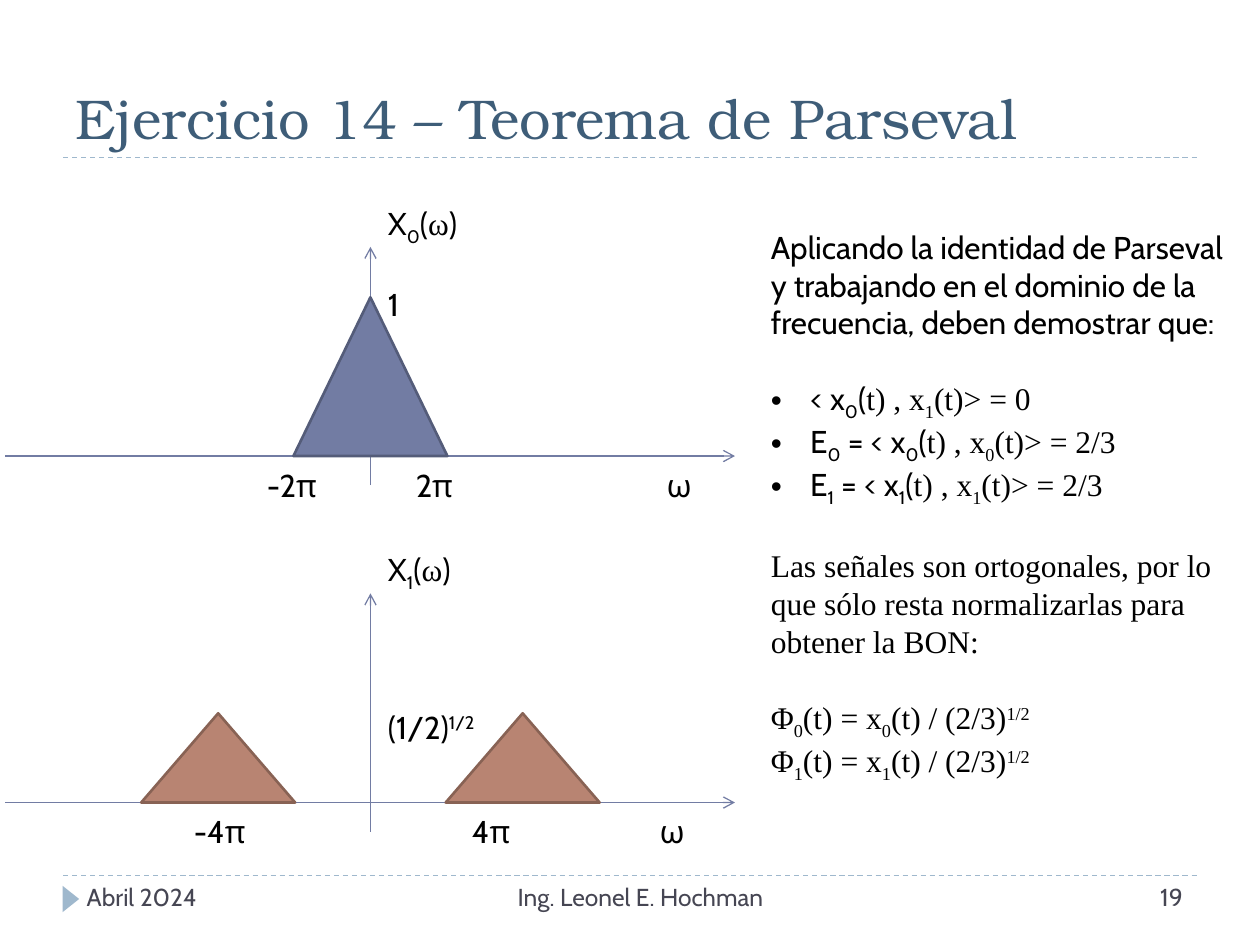
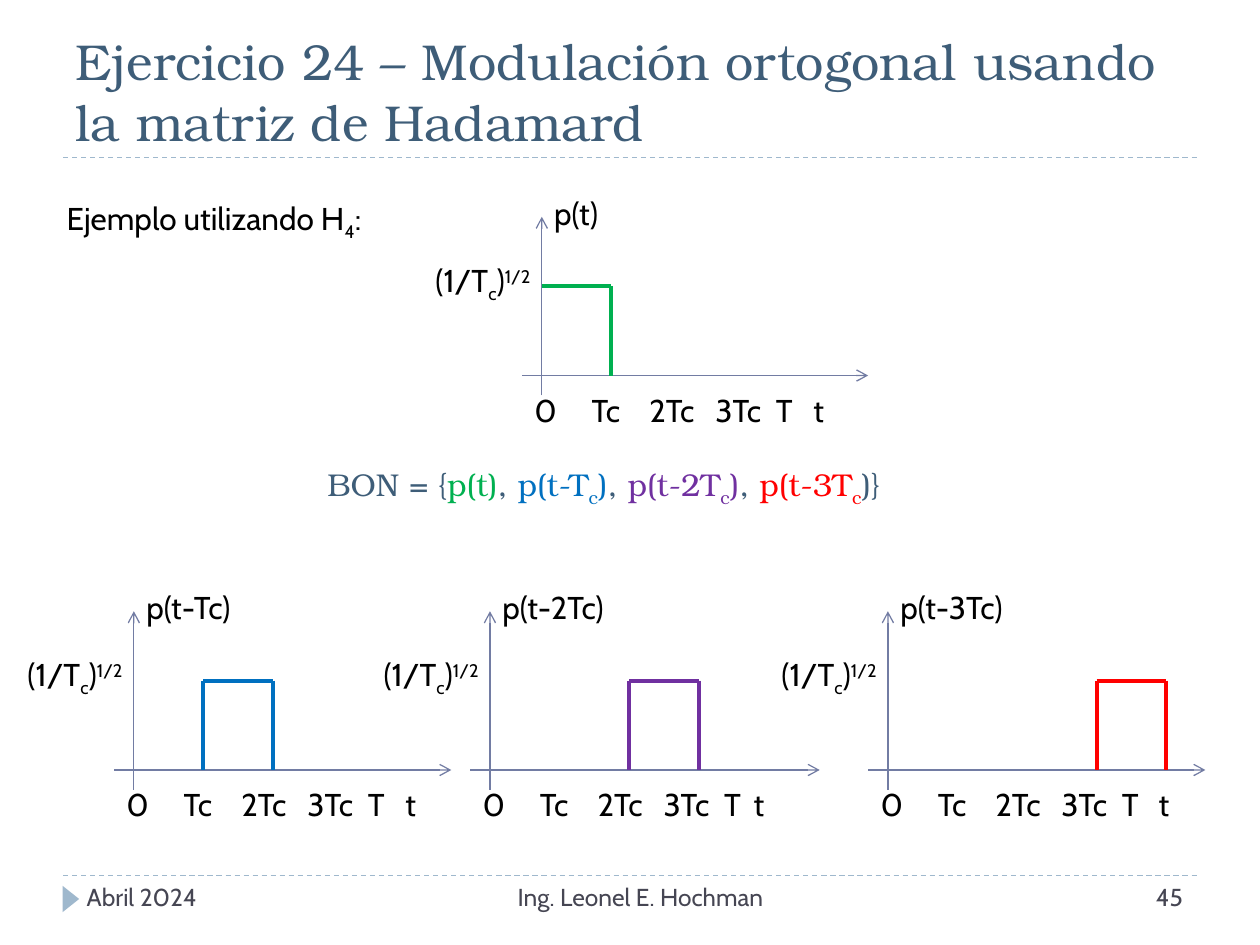
from lxml import etree
from pptx import Presentation
from pptx.dml.color import RGBColor
from pptx.enum import dml, shapes, text
from pptx.oxml import ns
from pptx.util import Pt

SANS, SERIF, TIMES = "Cabin", "TeX Gyre Bonum", "Times New Roman"
BLACK = RGBColor(0x00, 0x00, 0x00)
NAVY = RGBColor(0x3E, 0x5D, 0x78)
SLATE = RGBColor(0x46, 0x46, 0x53)
PALE = RGBColor(0x9F, 0xB8, 0xCD)
BLUE = RGBColor(0x72, 0x7C, 0xA3)
DEEP = RGBColor(0x54, 0x5C, 0x79)
CLAY = RGBColor(0xB8, 0x84, 0x72)
BROWN = RGBColor(0x88, 0x62, 0x54)
GREEN = RGBColor(0x00, 0xB0, 0x50)
AZURE = RGBColor(0x00, 0x70, 0xC0)
PURPLE = RGBColor(0x70, 0x30, 0xA0)
RED = RGBColor(0xFF, 0x00, 0x00)
LEFT, MID, RIGHT = text.PP_ALIGN.LEFT, text.PP_ALIGN.CENTER, text.PP_ALIGN.RIGHT


def write(slide, box, paras, size=18, font=SANS, ink=BLACK, align=LEFT, tabs=()):
    """Add a text box; a paragraph is a string or a list of (string, colour).

    "|" parts runs, which may open with ~ (Times), _ (subscript) or ^ (superscript).
    """
    frame = slide.shapes.add_textbox(*map(Pt, box)).text_frame
    frame.word_wrap = True
    for i, para in enumerate(paras):
        p = frame.paragraphs[0] if i == 0 else frame.add_paragraph()
        p.alignment = align
        if tabs:
            stops = etree.SubElement(p._p.get_or_add_pPr(), ns.qn("a:tabLst"))
            for pos in tabs:
                etree.SubElement(stops, ns.qn("a:tab"), pos=str(Pt(pos)), algn="l")
        for words, tint in [(para, ink)] if isinstance(para, str) else para:
            for part in words.split("|"):
                run = p.add_run()
                face = TIMES if part.startswith("~") else font
                part = part.removeprefix("~")
                if part[0] in "_^":
                    run.font._element.set("baseline", "-25000" if part[0] == "_" else "30000")
                    part = part[1:]
                run.text = part
                run.font.name, run.font.size = face, Pt(size)
                run.font.color.rgb = tint
    return frame


def line(slide, x1, y1, x2, y2, ink=BLUE, width=0.75, arrow=False):
    link = slide.shapes.add_connector(shapes.MSO_CONNECTOR.STRAIGHT, Pt(x1), Pt(y1), Pt(x2), Pt(y2))
    link.line.color.rgb, link.line.width = ink, Pt(width)
    if arrow:
        etree.SubElement(link.line._get_or_add_ln(), ns.qn("a:tailEnd"), type="arrow")
    etree.SubElement(link._element.spPr, ns.qn("a:effectLst"))
    return link


deck = Presentation()
deck.slide_width, deck.slide_height = Pt(720), Pt(540)

# Shared frame: title, rules, footer
pages = []
for title, size, number in [
    ("Ejercicio 14 – Teorema de Parseval", 32, "19"),
    ("Ejercicio 24 – Modulación ortogonal usando la matriz de Hadamard", 28.8, "45"),
]:
    page = deck.slides.add_slide(deck.slide_layouts[5])
    pages.append(page)
    head = page.shapes.title
    head.left, head.top, head.width, head.height = Pt(36), Pt(12), Pt(648), Pt(78)
    frame = head.text_frame
    frame.word_wrap, frame.auto_size = True, text.MSO_AUTO_SIZE.NONE
    frame.vertical_anchor = text.MSO_ANCHOR.BOTTOM
    frame.paragraphs[0].alignment = LEFT
    run = frame.paragraphs[0].add_run()
    run.text = title
    run.font.name, run.font.size, run.font.color.rgb = SERIF, Pt(size), NAVY

    for y in (90, 500.4):
        line(page, 36, y, 684, y, PALE).line.dash_style = dml.MSO_LINE.DASH
    mark = page.shapes.add_shape(shapes.MSO_SHAPE.ISOSCELES_TRIANGLE, Pt(33), Pt(509), Pt(15), Pt(9.4))
    mark.rotation = 90
    mark.shadow.inherit = False
    mark.fill.solid()
    mark.fill.fore_color.rgb = PALE
    mark.line.fill.background()
    for x, width, words, align in [
        (42.5, 180, "Abril 2024", LEFT),
        (228, 276, "Ing. Leonel E. Hochman", MID),
        (527, 156, number, RIGHT),
    ]:
        write(page, (x, 500.4, width, 29), [words], 14, ink=SLATE, align=align)

# Parseval: two spectra
page = pages[0]
zero, half = 211.7, 44
for base, tall, shifts, fill, edge, name, peak, drop, ticks, start, tabs in [
    (260.6, 90.7, [0], BLUE, DEEP, "X|_0|(|~ω|)", "1", 101,
     "-2π\t2π\tω", 145.4, (85.1, 228.6)),
    (458.6, 51, [-87, 87], CLAY, BROWN, "X|_1|(|~ω|)", "(1/2)|^1/2", 57.8,
     "-4π\t4π\tω", 103.7, (158.9, 266.3)),
]:
    line(page, zero, base + 16.6, zero, base - 119.5, arrow=True)
    line(page, 3, base, 420, base, arrow=True)
    for shift in shifts:
        peak_box = (zero + shift - half, base - tall, 2 * half, tall)
        tri = page.shapes.add_shape(shapes.MSO_SHAPE.ISOSCELES_TRIANGLE, *map(Pt, peak_box))
        tri.shadow.inherit = False
        tri.fill.solid()
        tri.fill.fore_color.rgb = fill
        tri.line.color.rgb, tri.line.width = edge, Pt(1.5)
    write(page, (214.6, base - 147.6, 70, 29), [name])
    write(page, (214.6, base - drop, 70, 29), [peak])
    write(page, (start, base + 2, 320, 29), [ticks], tabs=tabs)

proof = write(page, (433.4, 126.7, 278, 385), [
    "Aplicando la identidad de Parseval y trabajando en el dominio de la frecuencia, deben demostrar que:",
    "< x|_0|(|~t) , x|~_1|~(t)> = 0",
    "E|_0| = < x|_0|(|~t) , x|~_0|~(t)> = 2/3",
    "E|_1| = < x|_1|(|~t) , x|~_1|~(t)> = 2/3",
    "~Las señales son ortogonales, por lo que sólo resta normalizarlas para obtener la BON:",
    "~Φ|~_0|~(t) = x|~_0|~(t) / (2/3)|~^1/2",
    "~Φ|~_1|~(t) = x|~_1|~(t) / (2/3)|~^1/2",
]).paragraphs
for p in proof[1:4]:
    props = p._p.get_or_add_pPr()
    props.set("marL", str(Pt(22.5)))
    props.set("indent", str(Pt(-22.5)))
    etree.SubElement(props, ns.qn("a:buFont"), typeface="Arial")
    etree.SubElement(props, ns.qn("a:buChar"), char="•")
for i in (1, 4, 5):
    proof[i].space_before = Pt(21.8)

# Hadamard: one pulse and its three delays
page = pages[1]
write(page, (31, 110.2, 200, 29), ["Ejemplo utilizando H|_4|:"])
write(page, (180, 262, 345, 32), [[
    ("BON = {", NAVY), ("p(t)", GREEN), (", ", NAVY),
    ("p(t-T|_c|)", AZURE), (", ", NAVY),
    ("p(t-2T|_c|)", PURPLE), (", ", NAVY),
    ("p(t-3T|_c", RED), (")}", NAVY),
]], font=SERIF)

step, high = 39.75, 51
for delay, (zero, base, reach, last, ink, name) in enumerate([
    (309.6, 214.6, 186.5, 159.4, GREEN, "p(t)"),
    (76.5, 440, 181.4, 159.4, AZURE, "p(t-Tc)"),
    (280, 440, 188.4, 154.9, PURPLE, "p(t-2Tc)"),
    (507.4, 440, 181.4, 158.9, RED, "p(t-3Tc)"),
]):
    line(page, zero, base + 11.3, zero, base - 90.7, arrow=True)
    line(page, zero - 11.3, base, zero + reach, base, arrow=True)
    rise = zero + delay * step
    fall, top = rise + step, base - high
    line(page, rise, top, fall, top, ink, 2.25)
    line(page, fall, top, fall, base, ink, 2.25)
    if delay:
        line(page, rise, top, rise, base, ink, 2.25)
    write(page, (zero, base - 107.5, 90, 29), [name])
    write(page, (zero - 11.3, base + 5, 205, 29), ["0\tTc\t2Tc\t3Tc\tT\tt"],
          tabs=(32.7, 65.7, 103.4, 138, last))
    write(page, (zero - 67.9, base - 69, 80, 29), ["(1/T|_c|)|^1/2"])

deck.save("out.pptx")
